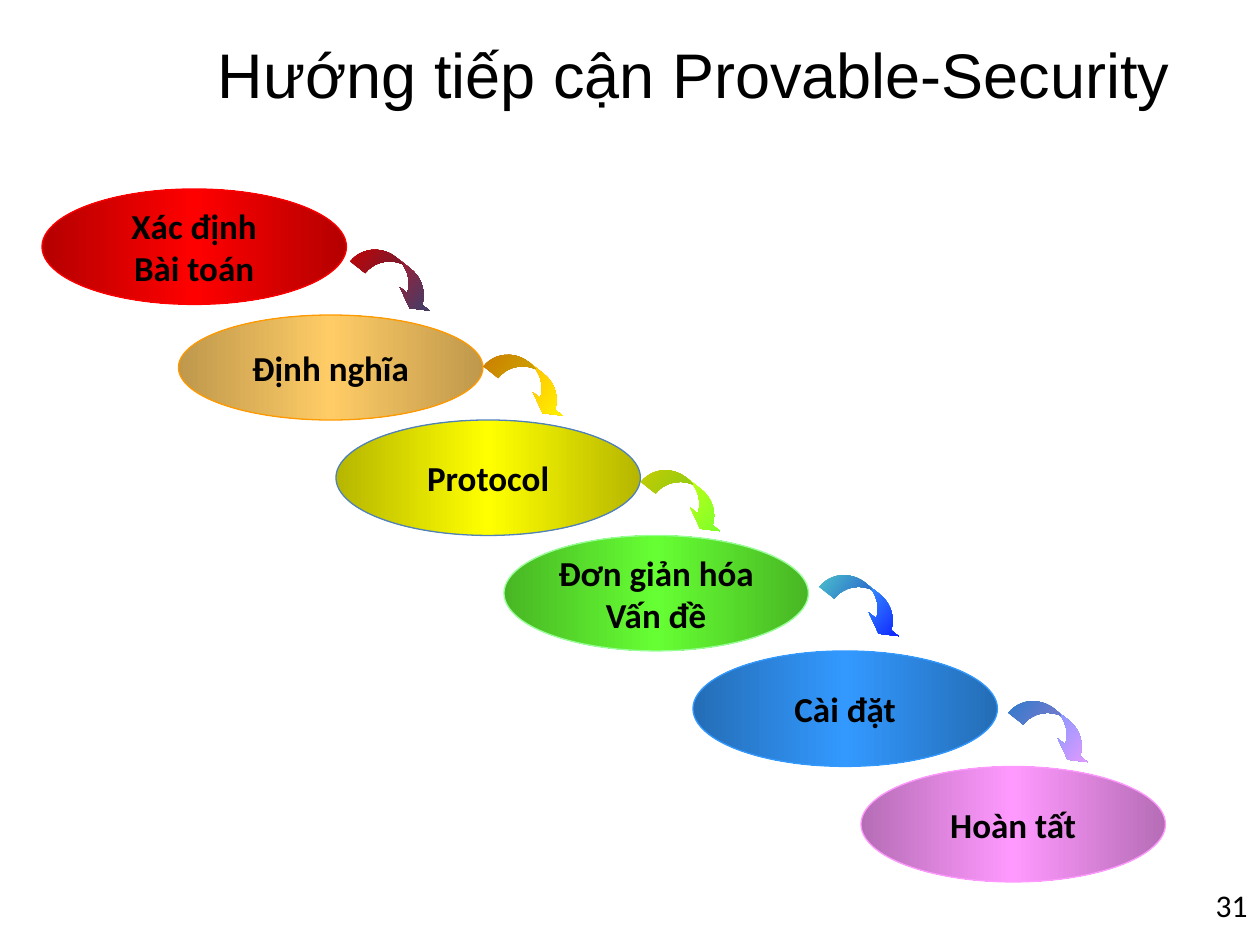
"""Build a slide with a descending staircase of six steps joined by curved arrows."""
from copy import deepcopy

from lxml import etree
from pptx import Presentation
from pptx.dml.color import RGBColor
from pptx.enum import shapes, text
from pptx.oxml.ns import qn
from pptx.util import Pt

STEP_WIDTH = 174
STEPS = [
    # label, left, top, height, colour, edge shade, outline
    ("Xác định\nBài toán", 24, 108, 66, "FF0000", 45, "FF0000"),
    ("Định nghĩa", 102, 180, 60, "FFCC66", 51.5, "FF9900"),
    ("Protocol", 192, 240, 66, "FFFF00", 46.3, "4F81BD"),
    ("Đơn giản hóa\nVấn đề", 288, 306, 66, "66FF33", 46.3, "99FF99"),
    ("Cài đặt", 396, 372, 66, "3399FF", 46.3, "3399FF"),
    ("Hoàn tất", 492, 438, 66, "FF99FF", 46.3, "FF99FF"),
]
ARROWS = [
    (200, 150, "FF0000", "1F497D"),
    (276, 210, "FF9900", "FFFF00"),
    (366, 276, "FFFF00", "66FF33"),
    (468, 336, "66FFFF", "0000FF"),
    (576, 408, "3399FF", "FF99FF"),
]


def rgb(value):
    """Return the colour for a hex string."""
    return RGBColor.from_string(value)


def place(item, left, top, width, height):
    """Set the position and size of a shape in points."""
    item.left, item.top = Pt(left), Pt(top)
    item.width, item.height = Pt(width), Pt(height)


def format_text(frame, align, font_name, size, bold=False):
    """Give every paragraph of a text frame the same look."""
    for paragraph in frame.paragraphs:
        paragraph.alignment = align
        font = paragraph.font
        font.name, font.size, font.bold = font_name, Pt(size), bold
        font.color.rgb = rgb("000000")


def fill_gradient(shape, colours, edge_shade=None):
    """Fill a shape left to right with evenly spaced colours, shading the outer ones."""
    shape.fill.gradient()
    shape.fill.gradient_angle = 0
    stop_list = shape._element.spPr.find(qn("a:gradFill")).find(qn("a:gsLst"))
    while len(stop_list) < len(colours):
        stop_list.append(deepcopy(stop_list[-1]))
    last = len(colours) - 1
    for index, (stop, colour) in enumerate(zip(shape.fill.gradient_stops, colours)):
        stop.position = index / last
        stop.color.rgb = rgb(colour)
        if edge_shade and index in (0, last):
            shade = etree.SubElement(stop_list[index][0], qn("a:shade"))
            shade.set("val", str(round(edge_shade * 1000)))


def add_title(slide, wording):
    """Write the slide title."""
    title = slide.shapes.title
    place(title, 109, 4, 575, 76)
    title.text_frame.text = wording
    title.text_frame.vertical_anchor = text.MSO_ANCHOR.MIDDLE
    format_text(title.text_frame, text.PP_ALIGN.CENTER, "Arial", 36)


def add_step(slide, label, left, top, height, colour, edge_shade, outline):
    """Add one labelled ellipse."""
    step = slide.shapes.add_shape(
        shapes.MSO_SHAPE.OVAL, Pt(left), Pt(top), Pt(STEP_WIDTH), Pt(height))
    step.shadow.inherit = False
    fill_gradient(step, [colour] * 3, edge_shade)
    step.line.color.rgb = rgb(outline)
    step.line.width = Pt(0.75)
    frame = step.text_frame
    frame.text = label
    frame.word_wrap = False
    frame.vertical_anchor = text.MSO_ANCHOR.MIDDLE
    format_text(frame, text.PP_ALIGN.CENTER, "Calibri", 20, bold=True)


def add_arrow(slide, left, top, start, end):
    """Add one curved arrow leading to the next step."""
    arrow = slide.shapes.add_shape(
        shapes.MSO_SHAPE.CURVED_DOWN_ARROW, Pt(left), Pt(top), Pt(54), Pt(18))
    arrow.shadow.inherit = False
    arrow.rotation = 38.3
    for index, value in enumerate((0.6, 1.2, 0.33)):
        arrow.adjustments[index] = value
    fill_gradient(arrow, [start, end])
    arrow.line.fill.background()


def add_page_number(slide, number):
    """Add the page number at the bottom right."""
    box = slide.shapes.add_textbox(Pt(552), Pt(502.5), Pt(168), Pt(37.5))
    box.text_frame.word_wrap = True
    box.text_frame.text = number
    format_text(box.text_frame, text.PP_ALIGN.RIGHT, "Calibri", 18)


def main():
    """Build and save the slide."""
    deck = Presentation()
    deck.slide_width, deck.slide_height = Pt(720), Pt(540)
    slide = deck.slides.add_slide(deck.slide_layouts[5])
    add_title(slide, "Hướng tiếp cận Provable-Security")
    for step in STEPS:
        add_step(slide, *step)
    for arrow in ARROWS:
        add_arrow(slide, *arrow)
    add_page_number(slide, "31")
    deck.save("out.pptx")


if __name__ == "__main__":
    main()
